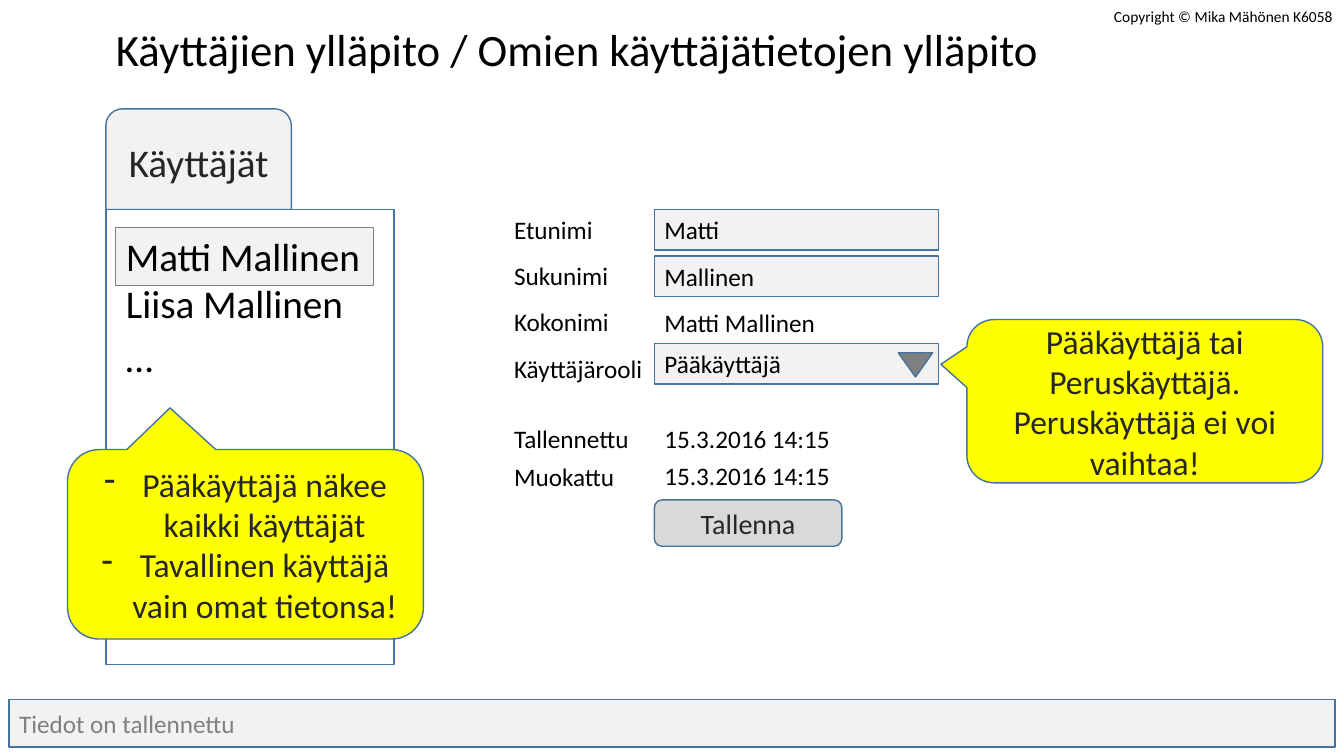
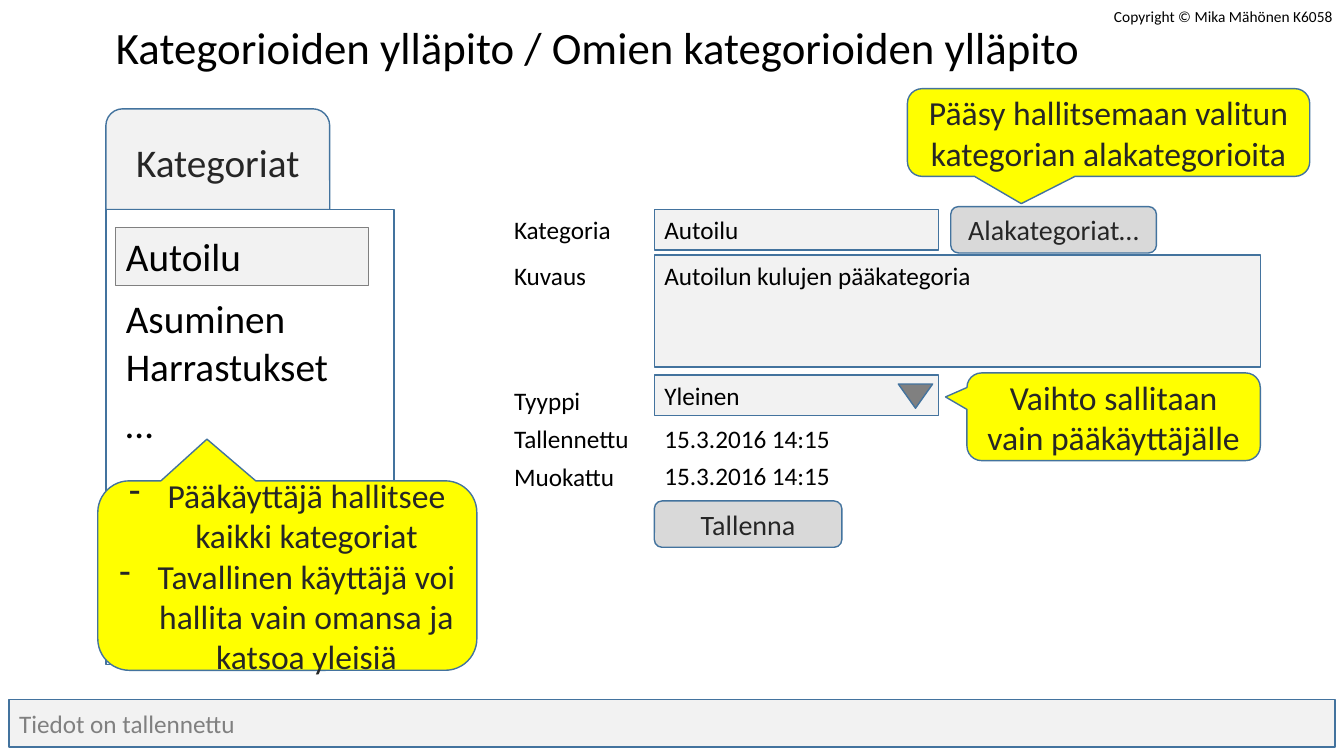
"""Builds two user-interface sketches for maintaining users and categories."""
from lxml.etree import Element
from pptx import Presentation
from pptx.dml.color import RGBColor
from pptx.enum.shapes import MSO_SHAPE
from pptx.enum.text import MSO_ANCHOR, MSO_AUTO_SIZE, PP_ALIGN
from pptx.oxml.ns import qn
from pptx.util import Inches, Pt

FONT = "Calibri"
BLACK = RGBColor(0x00, 0x00, 0x00)
INK = RGBColor(0x26, 0x26, 0x26)
GREY = RGBColor(0x80, 0x80, 0x80)
BUTTON_GREY = RGBColor(0xD9, 0xD9, 0xD9)
FIELD_GREY = RGBColor(0xF2, 0xF2, 0xF2)
WHITE = RGBColor(0xFF, 0xFF, 0xFF)
YELLOW = RGBColor(0xFF, 0xFF, 0x00)
BLUE = RGBColor(0x43, 0x73, 0x9E)

PANEL_LEFT, PANEL_TOP, PANEL_WIDTH = 1.05, 2.08, 2.86
ITEM_LEFT, ITEM_HEIGHT = 1.15, 0.57
LABEL_LEFT, FIELD_LEFT = 5, 6.49
FIELD_WIDTH, ROW_HEIGHT = 2.82, 0.4
SIDE_POINTER = (-0.573, -0.226, 0.167)
UP_POINTER = (-0.212, -0.72, 0.167)
DOWN_POINTER = (-0.217, 0.811, 0.167)


def write(frame, lines, size, color=BLACK, align=PP_ALIGN.LEFT):
    """Fill a text frame with one paragraph per line."""
    frame.text = "\n".join(lines)
    for paragraph in frame.paragraphs:
        paragraph.alignment = align
        paragraph.font.name = FONT
        paragraph.font.size = Pt(size)
        paragraph.font.color.rgb = color


def add_dashes(frame):
    """Give every paragraph a hanging dash."""
    for paragraph in frame.paragraphs:
        properties = paragraph._p.get_or_add_pPr()
        properties.set("marL", str(Inches(0.38)))
        properties.set("indent", str(-Inches(0.38)))
        dash = Element(qn("a:buChar"))
        dash.set("char", "-")
        properties.insert(0, dash)


def add_box(slide, kind, place, fill, line=BLUE, weight=1):
    """Add a flat preset shape at left, top, width, height."""
    box = slide.shapes.add_shape(kind, *map(Inches, place))
    box.shadow.inherit = False
    box.fill.solid()
    box.fill.fore_color.rgb = fill
    box.line.color.rgb = line
    box.line.width = Pt(weight)
    box.text_frame.vertical_anchor = MSO_ANCHOR.MIDDLE
    return box


def add_text(slide, text, place, size):
    """Add an unwrapped line of black text."""
    frame = slide.shapes.add_textbox(*map(Inches, place)).text_frame
    frame.word_wrap = False
    frame.auto_size = MSO_AUTO_SIZE.SHAPE_TO_FIT_TEXT
    write(frame, [text], size)


def add_title(slide, text, top, width):
    """Place and format the title placeholder."""
    title = slide.shapes.title
    title.left, title.top = Inches(PANEL_LEFT), Inches(top)
    title.width, title.height = Inches(width), Inches(0.64)
    title.text_frame.word_wrap = False
    title.text_frame.auto_size = MSO_AUTO_SIZE.NONE
    title.text_frame.vertical_anchor = MSO_ANCHOR.TOP
    write(title.text_frame, [text], 32)


def add_list(slide, heading, tab_width, selected, selected_width, items):
    """Add the tabbed list with its selected row and the other items."""
    tab = add_box(slide, MSO_SHAPE.ROUND_2_SAME_RECTANGLE,
                  (PANEL_LEFT, PANEL_TOP - 1, tab_width, 1), FIELD_GREY)
    write(tab.text_frame, [heading], 28, INK, PP_ALIGN.CENTER)
    add_box(slide, MSO_SHAPE.RECTANGLE,
            (PANEL_LEFT, PANEL_TOP, PANEL_WIDTH, 4.51), WHITE)
    row = add_box(slide, MSO_SHAPE.RECTANGLE,
                  (ITEM_LEFT, 2.26, selected_width, ITEM_HEIGHT),
                  FIELD_GREY, GREY, 0.75)
    row.text_frame.vertical_anchor = MSO_ANCHOR.TOP
    write(row.text_frame, [selected], 28)
    for item, top, width in items:
        add_text(slide, item, (ITEM_LEFT, top, width, ITEM_HEIGHT), 28)


def add_labels(slide, labels):
    """Add the column of form labels."""
    for label, top, width in labels:
        add_text(slide, label, (LABEL_LEFT, top, width, ROW_HEIGHT), 18)


def add_field(slide, text, top, width=FIELD_WIDTH, height=ROW_HEIGHT,
              anchor=MSO_ANCHOR.MIDDLE):
    """Add an input field with its value."""
    field = add_box(slide, MSO_SHAPE.RECTANGLE,
                    (FIELD_LEFT, top, width, height), FIELD_GREY)
    field.text_frame.vertical_anchor = anchor
    write(field.text_frame, [text], 18)


def add_dropdown(slide, text, top):
    """Add an input field with a downward arrowhead."""
    add_field(slide, text, top)
    arrow = add_box(slide, MSO_SHAPE.ISOSCELES_TRIANGLE,
                    (8.91, top + 0.09, 0.34, 0.24), GREY)
    arrow.rotation = 180


def add_button(slide, text, place):
    """Add a rounded button."""
    button = add_box(slide, MSO_SHAPE.ROUNDED_RECTANGLE, place, BUTTON_GREY)
    write(button.text_frame, [text], 20, INK, PP_ALIGN.CENTER)


def add_callout(slide, lines, place, pointer, dashed=False):
    """Add a yellow speech bubble, with dashes if asked."""
    callout = add_box(slide, MSO_SHAPE.ROUNDED_RECTANGULAR_CALLOUT, place, YELLOW)
    for index, value in enumerate(pointer):
        callout.adjustments[index] = value
    write(callout.text_frame, lines, 24, INK, PP_ALIGN.CENTER)
    if dashed:
        add_dashes(callout.text_frame)


def add_frame(slide, save_top):
    """Add the time stamps, save button, status bar and copyright line."""
    add_labels(slide, [("Tallennettu", 4.15, 1.36), ("Muokattu", 4.53, 1.21)])
    for top in (4.15, 4.52):
        add_text(slide, "15.3.2016 14:15", (FIELD_LEFT, top, 1.86, ROW_HEIGHT), 18)
    add_button(slide, "Tallenna", (FIELD_LEFT, save_top, 1.86, 0.46))
    status = add_box(slide, MSO_SHAPE.RECTANGLE, (0.09, 6.94, 13.15, 0.47), FIELD_GREY)
    write(status.text_frame, ["Tiedot on tallennettu"], 18, GREY)
    add_text(slide, "Copyright © Mika Mähönen K6058", (10.95, 0.02, 2.39, 0.29), 11)


def build_users(slide):
    """Build the slide on maintaining users."""
    add_title(slide, "Käyttäjien ylläpito / Omien käyttäjätietojen ylläpito", 0.17, 9.47)
    add_list(slide, "Käyttäjät", 1.84, "Matti Mallinen", 2.56,
             [("Liisa Mallinen", 2.72, 2.38), ("…", 3.26, 0.47)])
    add_labels(slide, [("Etunimi", 2.08, 0.99), ("Sukunimi", 2.53, 1.15),
                       ("Kokonimi", 2.99, 1.15), ("Käyttäjärooli", 3.46, 1.49)])
    add_field(slide, "Matti", 2.08)
    add_field(slide, "Mallinen", 2.54)
    add_text(slide, "Matti Mallinen", (FIELD_LEFT, 3, 1.72, ROW_HEIGHT), 18)
    add_dropdown(slide, "Pääkäyttäjä", 3.41)
    add_frame(slide, 4.96)
    add_callout(slide, ["Pääkäyttäjä näkee kaikki käyttäjät",
                        "Tavallinen käyttäjä vain omat tietonsa!"],
                (0.67, 4.46, 3.53, 1.88), UP_POINTER, dashed=True)
    add_callout(slide, ["Pääkäyttäjä tai Peruskäyttäjä.",
                        "Peruskäyttäjä ei voi vaihtaa!"],
                (9.59, 3.17, 3.53, 1.62), SIDE_POINTER)


def build_categories(slide):
    """Build the slide on maintaining categories."""
    add_title(slide, "Kategorioiden ylläpito / Omien kategorioiden ylläpito", 0.15, 9.87)
    add_list(slide, "Kategoriat", 2.22, "Autoilu", 2.51,
             [("Asuminen", 2.87, 1.8), ("Harrastukset", 3.35, 2.23), ("…", 3.91, 0.47)])
    add_labels(slide, [("Kategoria", 2.08, 1.17), ("Kuvaus", 2.53, 0.93),
                       ("Tyyppi", 3.77, 0.87)])
    add_field(slide, "Autoilu", 2.08)
    add_field(slide, "Autoilun kulujen pääkategoria", 2.53, 6.01, 1.11, MSO_ANCHOR.TOP)
    add_dropdown(slide, "Yleinen", 3.72)
    add_button(slide, "Alakategoriat…", (9.43, 2.05, 2.04, 0.46))
    add_frame(slide, 4.97)
    add_callout(slide, ["Pääkäyttäjä hallitsee kaikki kategoriat",
                        "Tavallinen käyttäjä voi hallita vain omansa ja katsoa yleisiä"],
                (0.97, 4.77, 3.76, 1.88), UP_POINTER, dashed=True)
    add_callout(slide, ["Vaihto sallitaan vain pääkäyttäjälle"],
                (9.59, 3.7, 2.91, 0.87), SIDE_POINTER)
    add_callout(slide, ["Pääsy hallitsemaan valitun kategorian alakategorioita"],
                (9, 0.88, 3.99, 0.87), DOWN_POINTER)


def main():
    """Build both slides and save the presentation."""
    presentation = Presentation()
    presentation.slide_width = Inches(13.33)
    presentation.slide_height = Inches(7.5)
    title_only = presentation.slide_layouts[5]
    for build in (build_users, build_categories):
        build(presentation.slides.add_slide(title_only))
    presentation.save("out.pptx")


main()
